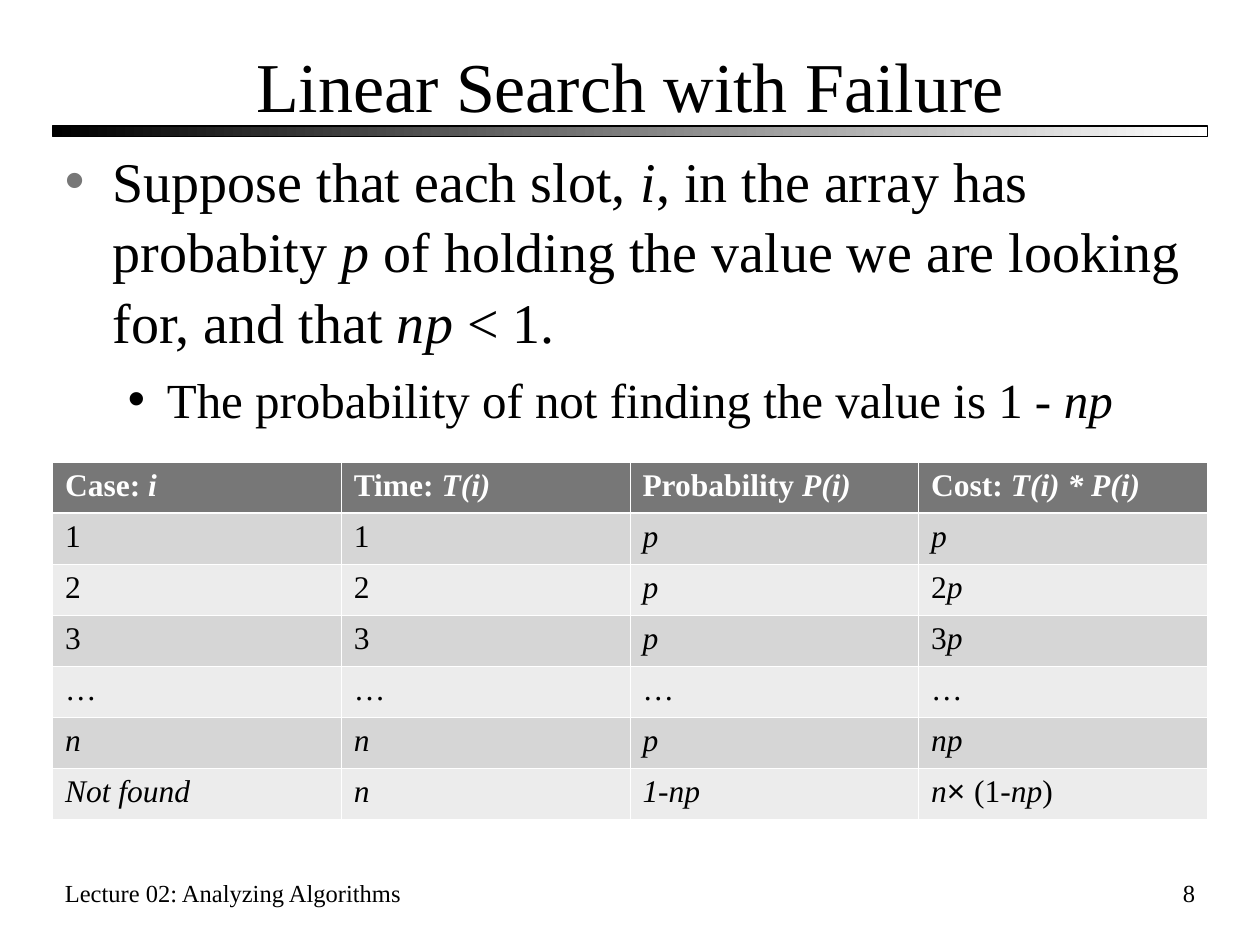
from typing import NamedTuple

from lxml import etree
from pptx import Presentation
from pptx.dml.color import RGBColor
from pptx.enum.shapes import MSO_SHAPE
from pptx.enum.text import MSO_ANCHOR, PP_ALIGN
from pptx.oxml.ns import qn
from pptx.util import Inches, Pt

RECT = MSO_SHAPE.RECTANGLE
TOP, MIDDLE = MSO_ANCHOR.TOP, MSO_ANCHOR.MIDDLE
LEFT, CENTER, RIGHT = PP_ALIGN.LEFT, PP_ALIGN.CENTER, PP_ALIGN.RIGHT

BLACK = RGBColor(0x00, 0x00, 0x00)
WHITE = RGBColor(0xFF, 0xFF, 0xFF)
GRAY = RGBColor(0x77, 0x77, 0x77)
DARK = RGBColor(0xD6, 0xD6, 0xD6)
PALE = RGBColor(0xEC, 0xEC, 0xEC)

SERIF, SANS = "Times New Roman", "Arial"

# The slide is a grid of 24 columns and 90 rows
WIDTH, HEIGHT = Inches(10), Inches(7.5)
COL, ROW = WIDTH / 24, HEIGHT / 90


class Area(NamedTuple):
    col: float
    row: float
    cols: float
    rows: float

    def box(self) -> tuple[int, ...]:
        return (round(self.col * COL), round(self.row * ROW),
                round(self.cols * COL), round(self.rows * ROW))


class Run(NamedTuple):
    text: str
    slant: bool = False
    face: str = SERIF


class Label(NamedTuple):
    area: Area
    text: str
    size: int
    align: PP_ALIGN = LEFT
    anchor: MSO_ANCHOR = TOP


class Point(NamedTuple):
    runs: list[Run]
    level: int
    size: int
    before: int
    left: float
    hang: float
    tint: RGBColor


def it(text: str) -> Run:
    return Run(text, True)


LABELS = [
    Label(Area(1, 4, 22, 8), "Linear Search with Failure", 40, CENTER, MIDDLE),
    Label(Area(1, 83, 8.4, 6), "Lecture 02: Analyzing Algorithms", 14),
    Label(Area(18, 83, 5, 6), "8", 14, RIGHT),
]

POINTS = [
    Point([Run("Suppose that each slot, "), it("i"),
           Run(", in the array has probabity "), it("p"),
           Run(" of holding the value we are looking for, and that "),
           it("np "), Run("< 1.")], 0, 32, 0, 0.38, 0.38, GRAY),
    Point([Run("The probability of not finding the value is 1 - "), it("np")],
          1, 28, 7, 0.81, 0.31, BLACK),
]

HEAD = [
    [Run("Case: "), it("i")],
    [Run("Time: "), it("T(i)")],
    [Run("Probability "), it("P(i)")],
    [Run("Cost: "), it("T(i) * P(i)")],
]
FOUND = [
    [[Run(k)], [Run(k)], [it("p")], [*cost, it("p")]]
    for k, cost in (("1", []), ("2", [Run("2")]), ("3", [Run("3")]))
]
CASES = [
    HEAD,
    *FOUND,
    [[Run("…")]] * 4,
    [[it("n")], [it("n")], [it("p")], [it("np")]],
    [[it("Not found")], [it("n")], [it("1-np")],
     [it("n"), Run("× ", face=SANS), Run("(1"), it("-np"), Run(")")]],
]


def write(para, runs: list[Run], size: int, color: RGBColor = BLACK,
          bold: bool = False) -> None:
    for part in runs:
        run = para.add_run()
        run.text = part.text
        font = run.font
        font.name, font.size = part.face, Pt(size)
        font.bold, font.italic = bold, part.slant
        font.color.rgb = color


def frame(slide, area: Area):
    text = slide.shapes.add_textbox(*area.box()).text_frame
    text.word_wrap = True
    return text


def label(slide, item: Label) -> None:
    text = frame(slide, item.area)
    text.vertical_anchor = item.anchor
    para = text.paragraphs[0]
    para.alignment = item.align
    write(para, [Run(item.text)], item.size)


def bullet(para, item: Point) -> None:
    props = para._p.get_or_add_pPr()
    props.set("marL", str(Inches(item.left)))
    props.set("indent", str(-Inches(item.hang)))
    tint = etree.SubElement(props, qn("a:buClr"))
    etree.SubElement(tint, qn("a:srgbClr"), val=str(item.tint))
    etree.SubElement(props, qn("a:buFont"), typeface=SANS)
    etree.SubElement(props, qn("a:buChar"), char="•")


def body(slide, area: Area, points: list[Point]) -> None:
    text = frame(slide, area)
    for n, item in enumerate(points):
        para = text.add_paragraph() if n else text.paragraphs[0]
        para.level = item.level
        bullet(para, item)
        para.line_spacing = 1.05
        para.space_before = Pt(item.before)
        write(para, item.runs, item.size)


def border(cell, sides: dict[str, float]) -> None:
    props = cell._tc.get_or_add_tcPr()
    for n, (side, width) in enumerate(sides.items()):
        line = etree.Element(qn(f"a:ln{side}"), w=str(Pt(width)))
        fill = etree.SubElement(line, qn("a:solidFill"))
        etree.SubElement(fill, qn("a:srgbClr"), val=str(WHITE))
        props.insert(n, line)


def grid(slide, area: Area, rows: list[list[list[Run]]]) -> None:
    table = slide.shapes.add_table(len(rows), len(rows[0]), *area.box()).table
    table.horz_banding = False
    thin, thick = 0.45, 1.47
    for r, row in enumerate(rows):
        head = r == 0
        for c, runs in enumerate(row):
            cell = table.cell(r, c)
            cell.fill.solid()
            cell.fill.fore_color.rgb = GRAY if head else (PALE, DARK)[r % 2]
            border(cell, {"L": thin, "R": thin,
                          "T": thick if r == 1 else thin,
                          "B": thick if head else thin})
            write(cell.text_frame.paragraphs[0], runs, 18,
                  WHITE if head else BLACK, head)


def rule(slide, area: Area) -> None:
    bar = slide.shapes.add_shape(RECT, *area.box())
    bar.shadow.inherit = False
    bar.fill.gradient()
    bar.fill.gradient_angle = 0
    for stop, color in zip(bar.fill.gradient_stops, (BLACK, WHITE)):
        stop.color.rgb = color
    bar.line.color.rgb = BLACK
    bar.line.width = Pt(0.75)


def main() -> None:
    deck = Presentation()
    deck.slide_width, deck.slide_height = WIDTH, HEIGHT
    slide = deck.slides.add_slide(deck.slide_layouts[6])
    # Bar under the title
    rule(slide, Area(1, 12, 22, 1))
    # Title, footer and slide number
    for item in LABELS:
        label(slide, item)
    # Bullets, then the table of cases
    body(slide, Area(1, 13, 22, 69), POINTS)
    grid(slide, Area(1, 44, 22, 34), CASES)
    deck.save("out.pptx")


if __name__ == "__main__":
    main()
